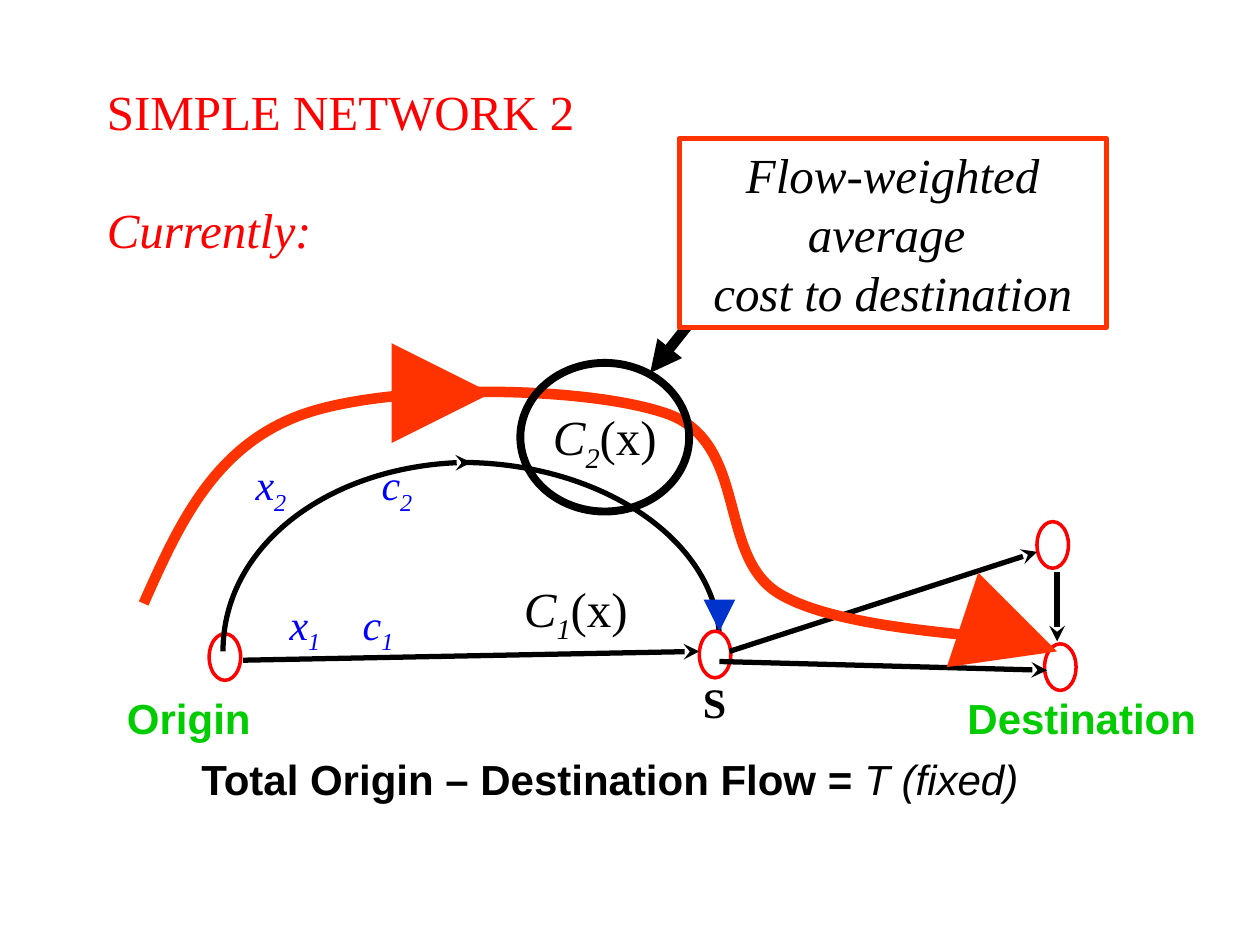
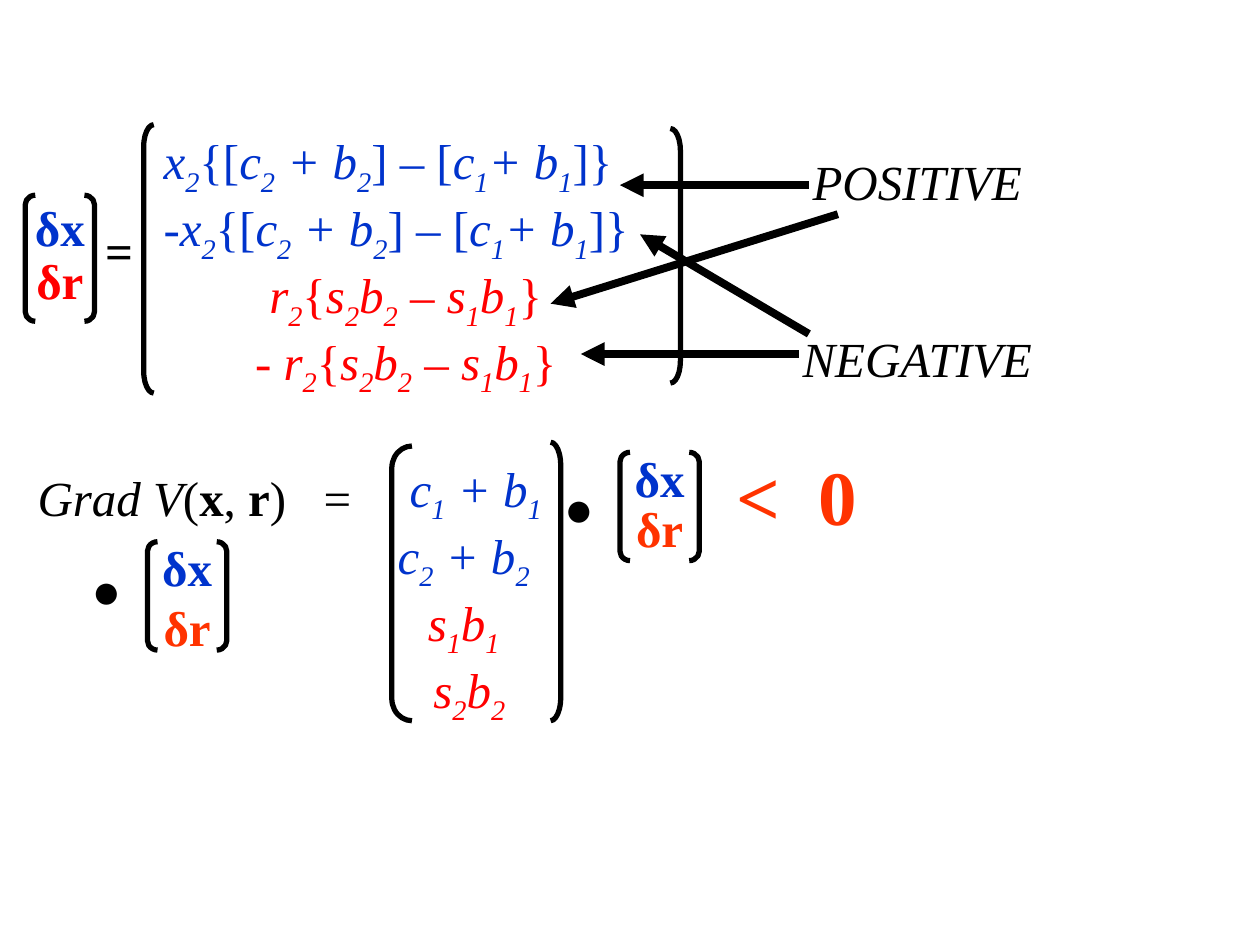
from itertools import groupby

from lxml import etree
from pptx import Presentation
from pptx.dml.color import RGBColor
from pptx.enum.shapes import MSO_CONNECTOR, MSO_SHAPE
from pptx.enum.text import MSO_ANCHOR, PP_ALIGN
from pptx.oxml.ns import qn
from pptx.util import Inches, Pt

STRAIGHT = MSO_CONNECTOR.STRAIGHT
ELLIPSE = MSO_SHAPE.OVAL
RECTANGLE = MSO_SHAPE.RECTANGLE
LEFT_BRACKET = MSO_SHAPE.LEFT_BRACKET
RIGHT_BRACKET = MSO_SHAPE.RIGHT_BRACKET
LEFT, CENTER = PP_ALIGN.LEFT, PP_ALIGN.CENTER
TOP = MSO_ANCHOR.TOP

COLORS = {
    "black": "000000",
    "white": "FFFFFF",
    "red": "FF0000",
    "orange": "FF3300",
    "green": "00CC00",
    "blue": "0033CC",
    "bright_blue": "0000FF",
}
SERIF = {"name": "Times New Roman", "size": Pt(28), "color": "black"}
MATH = {**SERIF, "italic": True}
BOLD = {**SERIF, "bold": True}
FLOW = {**MATH, "size": Pt(24), "color": "bright_blue"}
SANS = {"name": "Arial", "size": Pt(24), "bold": True, "color": "black"}
PLACE = {**SANS, "color": "green"}


def rgb(name):
    """Return a named colour."""
    return RGBColor.from_string(COLORS[name])


def formula(text):
    """Split a formula into runs: '_' lowers the next sign, brackets stand upright."""
    signs = []
    for before, sign in zip(" " + text, text):
        if sign != "_":
            signs.append((sign, before == "_", sign not in "{}[]"))
    return [
        ("".join(sign[0] for sign in group), {"lowered": lowered, "italic": italic})
        for (lowered, italic), group in groupby(signs, key=lambda sign: sign[1:])
    ]


def format_run(run, values):
    """Apply format values to a run."""
    for key, value in values.items():
        if key == "color":
            run.font.color.rgb = rgb(value)
        elif key == "lowered":
            if value:
                run.font._element.set("baseline", "-25000")
        else:
            setattr(run.font, key, value)


def write(frame, paragraphs, style, align=LEFT):
    """Fill a text frame; a paragraph is a string or a list of (text, format) runs."""
    frame.word_wrap = True
    frame.vertical_anchor = TOP
    for index, content in enumerate(paragraphs):
        paragraph = frame.add_paragraph() if index else frame.paragraphs[0]
        paragraph.alignment = align
        for text, values in [(content, {})] if isinstance(content, str) else content:
            run = paragraph.add_run()
            run.text = text
            format_run(run, {**style, **values})


def stroke(line, color, width, head=None):
    """Set colour, width and arrowhead of a line."""
    line.color.rgb = rgb(color)
    line.width = Pt(width)
    if head:
        etree.SubElement(line._get_or_add_ln(), qn("a:tailEnd"), type=head)


class Region:
    """A part of a slide whose contents are placed from its top left corner."""

    def __init__(self, slide, left, top):
        self.shapes = slide.shapes
        self.left, self.top = left, top

    def at(self, x, y):
        """Turn a place in the region into a place on the slide."""
        return Inches(self.left + x), Inches(self.top + y)

    def text(self, x, y, width, paragraphs, style, align=LEFT, height=0.57):
        """Add a text box."""
        box = self.shapes.add_textbox(*self.at(x, y), Inches(width), Inches(height))
        write(box.text_frame, paragraphs, style, align)
        return box.text_frame

    def outline(self, preset, x, y, width, height, color, weight, fill=None):
        """Add a preset shape with an outline."""
        shape = self.shapes.add_shape(
            preset, *self.at(x, y), Inches(width), Inches(height))
        shape.shadow.inherit = False
        if fill:
            shape.fill.solid()
            shape.fill.fore_color.rgb = rgb(fill)
        else:
            shape.fill.background()
        stroke(shape.line, color, weight)
        return shape

    def bracket(self, preset, x, y, width, height, roundness):
        """Add one tall bracket."""
        bracket = self.outline(preset, x, y, width, height, "black", 3)
        bracket.adjustments[0] = roundness

    def arrow(self, start, end, color, weight, head):
        """Add a straight arrow."""
        arrow = self.shapes.add_connector(STRAIGHT, *self.at(*start), *self.at(*end))
        stroke(arrow.line, color, weight, head)
        etree.SubElement(arrow._element.spPr, qn("a:effectLst"))

    def curve(self, points, color, weight, head=None):
        """Add a Bezier curve: a start, then two handles and an end per segment."""
        start, *rest = [self.at(*point) for point in points]
        builder = self.shapes.build_freeform(*start)
        builder.add_line_segments(rest, close=False)
        shape = builder.convert_to_shape()
        outline = next(shape._element.iter(qn("a:path")))
        steps = outline.findall(qn("a:lnTo"))
        for first in range(0, len(steps), 3):
            segment = etree.SubElement(outline, qn("a:cubicBezTo"))
            for step in steps[first:first + 3]:
                segment.append(step[0])
                outline.remove(step)
        shape.shadow.inherit = False
        shape.fill.background()
        stroke(shape.line, color, weight, head)


def heading(slide, left, top):
    """Write the title and the state of the network."""
    title = Region(slide, left, top).text(
        0, 0, 4.6, ["SIMPLE NETWORK 2", [("Currently:", {"italic": True})]],
        {**SERIF, "color": "red"}, height=1.5)
    title.paragraphs[1].space_before = Pt(33.5)


def network(slide, left, top):
    """Draw nodes, links, flows and costs of the network."""
    area = Region(slide, left, top)
    area.curve([(2.66, 0.67), (3.79, 0.67), (4.71, 1.31), (4.71, 2.09)], "black", 3)
    area.arrow((4.71, 1.85), (4.71, 2.01), "blue", 6, "triangle")
    for x, y, fill in [(7.29, 2.11, None), (4.55, 2.01, "white"),
                       (0.66, 2.03, None), (7.23, 1.14, None)]:
        area.outline(ELLIPSE, x, y, 0.25, 0.37, "red", 2, fill)
    for start, end in [((0.93, 2.24), (4.55, 2.17)), ((4.71, 2.25), (7.31, 2.32)),
                       ((4.79, 2.17), (7.23, 1.38)), ((7.39, 1.54), (7.39, 2.09))]:
        area.arrow(start, end, "black", 3, "stealth")
    area.curve([(0.77, 2.17), (0.77, 1.34), (1.65, 0.67), (2.74, 0.67)],
               "black", 3, "stealth")
    area.curve([(0.14, 1.79), (0.42, 1.16), (0.7, 0.54), (1.4, 0.29),
                (2.1, 0.04), (3.68, 0.06), (4.31, 0.29),
                (4.94, 0.53), (4.69, 1.41), (5.18, 1.71),
                (5.67, 2.01), (6.89, 2.04), (7.23, 2.1)], "orange", 6)
    for start, end in [((2.66, 0.12), (2.9, 0.12)), ((7.15, 2.09), (7.39, 2.17))]:
        area.arrow(start, end, "orange", 19, "triangle")
    area.outline(ELLIPSE, 3.13, -0.12, 1.34, 1.18, "black", 4.5)
    for symbol, x, y in [("x_2", 0.93, 0.59), ("c_2", 1.93, 0.59),
                         ("x_1", 1.2, 1.7), ("c_1", 1.78, 1.7)]:
        area.text(x, y, 0.6, [formula(symbol)], FLOW)
    for symbol, x, y in [("C_2", 2.66, 0.18), ("C_1", 2.43, 1.54)]:
        cost = formula(symbol) + [("(x)", {"italic": False})]
        area.text(x, y, 2.28, [cost], MATH, CENTER)
    for name, x, y, width, style in [
            ("Origin", -0.09, 2.45, 1.5, PLACE),
            ("Destination", 6.58, 2.45, 2.3, PLACE),
            ("S", 4.48, 2.32, 0.5, {**BOLD, "size": Pt(24)})]:
        area.text(x, y, width, [name], style, height=0.5)
    total = [("Total Origin – Destination Flow = ", {}),
             ("T (fixed)", {"bold": False, "italic": True})]
    area.text(-0.1, 2.93, 7.88, [total], SANS, CENTER, 0.5)


def callout(slide, left, top):
    """Explain the circled cost."""
    area = Region(slide, left, top)
    area.arrow((0.08, 1.47), (-0.23, 1.86), "black", 6, "triangle")
    frame = area.outline(RECTANGLE, 0, 0, 3.39, 1.5, "orange", 3, "white")
    write(frame.text_frame, ["Flow-weighted average ", "cost to destination"],
          MATH, CENTER)


def delta_pair(slide, left, top, width, height, x_drop, r_drop, r_color):
    """Write the bracketed column of δx over δr."""
    area = Region(slide, left, top)
    area.bracket(LEFT_BRACKET, 0, 0, 0.08, height, 0.95)
    area.bracket(RIGHT_BRACKET, width - 0.08, 0, 0.08, height, 0.95)
    for name, drop, color in [("δx", x_drop, "blue"), ("δr", r_drop, r_color)]:
        area.text(width / 2 - 0.4, drop, 0.8, [name], {**BOLD, "color": color}, CENTER)


def change_vector(slide, left, top):
    """Set out the direction of change and the sign of each row."""
    area = Region(slide, left, top)
    delta_pair(slide, left + 0.2, top + 0.55, 0.55, 1, -0.03, 0.39, "red")
    area.text(0.59, 0.7, 0.71, ["="], BOLD, CENTER)
    area.bracket(LEFT_BRACKET, 1.14, -0.01, 0.08, 2.13, 2.2)
    area.bracket(RIGHT_BRACKET, 5.32, 0.02, 0.08, 2.02, 2.2)
    flow_change = "x_2{[c_2 + b_2] – [c_1+ b_1]}"
    green_change = "r_2{s_2b_2 – s_1b_1}"
    rows = [formula(row) for row in (flow_change, "-" + flow_change,
                                     green_change, "- " + green_change)]
    frame = area.text(1.2, -0.01, 4.04, rows, {**MATH, "color": "blue"}, height=3.16)
    for paragraph in frame.paragraphs[2:]:
        paragraph.alignment = CENTER
        for run in paragraph.runs:
            run.font.color.rgb = rgb("red")
    for sign, y in [("POSITIVE", 0.15), ("NEGATIVE", 1.56)]:
        area.text(6.18, y, 2.2, [sign], MATH, CENTER)
    for start, end in [((6.42, 0.47), (4.92, 0.47)), ((6.65, 0.7), (4.37, 1.41)),
                       ((6.42, 1.65), (5.08, 0.86)), ((6.34, 1.81), (4.61, 1.81))]:
        area.arrow(start, end, "black", 4.5, "triangle")


def gradient_product(slide, left, top):
    """Set out the product of the gradient and the change."""
    area = Region(slide, left, top)
    upright, strong = {"italic": False}, {"italic": False, "bold": True}
    gradient = [("Grad V", {}), ("(", upright), ("x", strong), (", ", upright),
                ("r", strong), (")", upright)]
    area.text(0.2, 0.16, 2.4, [gradient], MATH)
    area.text(2.47, 0.16, 0.6, ["="], SERIF)
    area.bracket(LEFT_BRACKET, 3.11, 0.04, 0.16, 2.18, 1.1)
    area.bracket(RIGHT_BRACKET, 4.37, 0.01, 0.08, 2.21, 2.3)
    rows = [formula(row) for row in ("c_1 + b_1", "c_2 + b_2", "s_1b_1", "s_2b_2")]
    frame = area.text(2.32, 0.09, 2.91, rows, {**MATH, "color": "blue"}, CENTER, 2.23)
    for row, indent in [(1, 0.19), (3, 0.1)]:
        properties = frame.paragraphs[row]._p.get_or_add_pPr()
        properties.set("marR", str(Inches(indent)))
    for paragraph in frame.paragraphs[2:]:
        for run in paragraph.runs:
            run.font.color.rgb = rgb("red")
    for x, y in [(0.63, 0.89), (4.38, 0.24)]:
        area.text(x, y, 0.5, ["●"], SERIF)
    for x, y, r_drop in [(1.17, 0.8, 0.39), (4.92, 0.09, 0.32)]:
        delta_pair(slide, left + x, top + y, 0.63, 0.86, -0.08, r_drop, "orange")
    for sign, x in [("<", 5.75), ("0", 6.4)]:
        area.text(x, 0.01, 0.8, [sign],
                  {**BOLD, "size": Pt(44), "color": "orange"}, height=0.84)


def main():
    """Build both slides and save them."""
    deck = Presentation()
    deck.slide_width, deck.slide_height = Inches(10), Inches(7.5)
    blank = deck.slide_layouts[6]

    current_state = deck.slides.add_slide(blank)
    heading(current_state, 0.75, 0.6)
    network(current_state, 1, 3)
    callout(current_state, 5.39, 1.1)

    descent = deck.slides.add_slide(blank)
    change_vector(descent, 0, 1)
    gradient_product(descent, 0, 3.5)

    deck.save("out.pptx")


if __name__ == "__main__":
    main()
